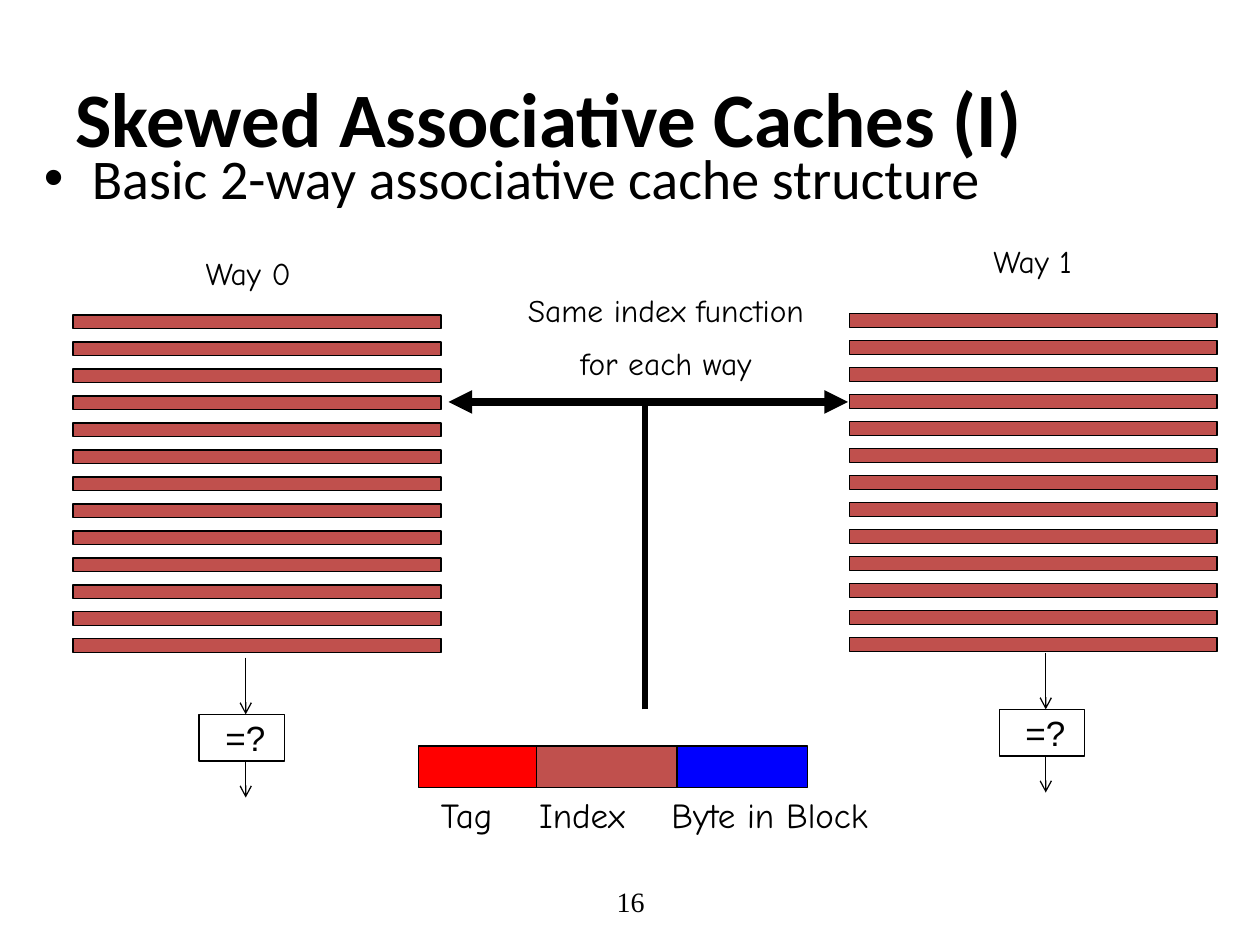
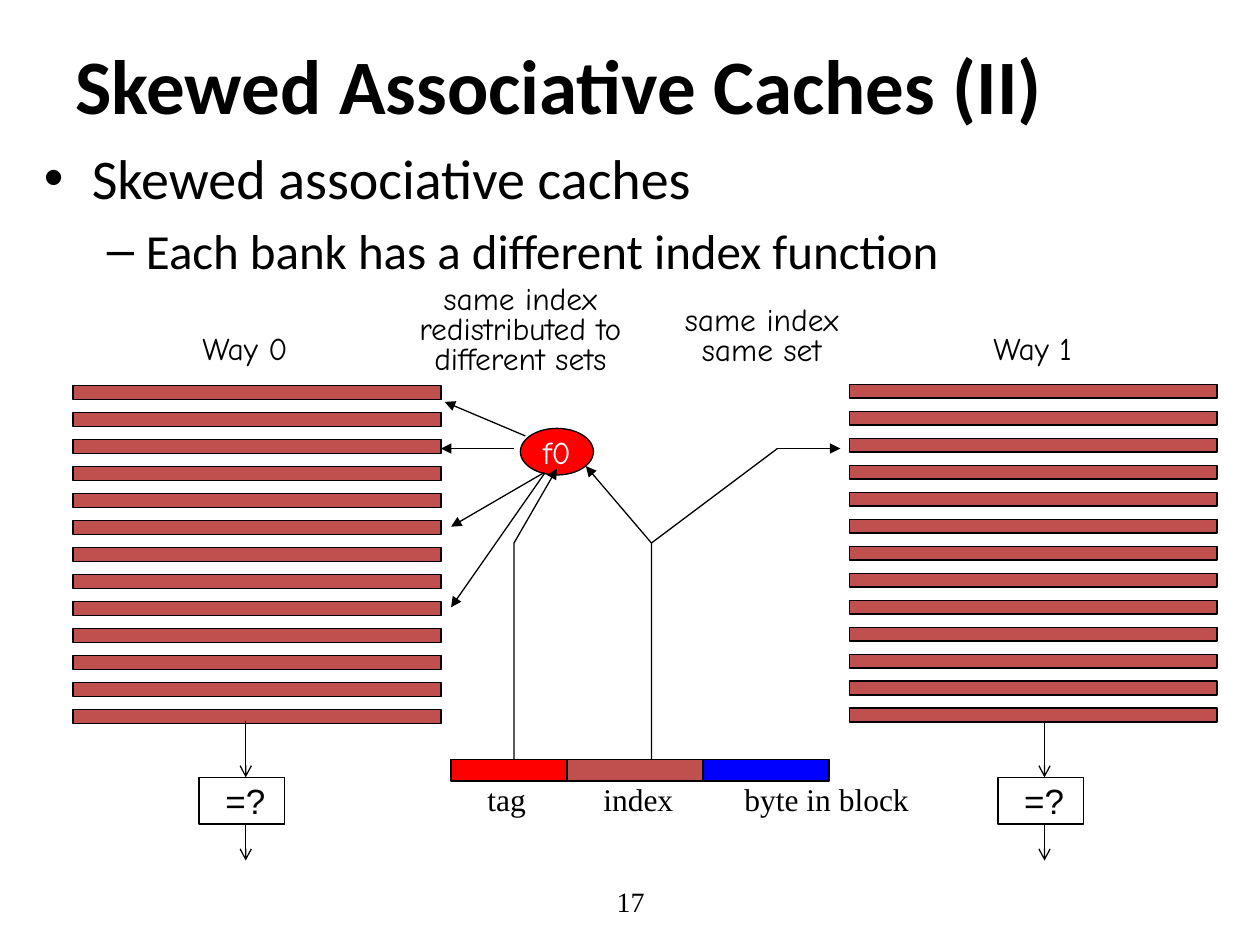
from lxml import etree
from pptx import Presentation
from pptx.dml.color import RGBColor
from pptx.enum.shapes import MSO_CONNECTOR, MSO_SHAPE
from pptx.enum.text import MSO_ANCHOR, PP_ALIGN
from pptx.oxml.ns import qn
from pptx.util import Inches, Pt

BLACK = RGBColor(0x00, 0x00, 0x00)
WHITE = RGBColor(0xFF, 0xFF, 0xFF)
TAG_RED = RGBColor(0xFF, 0x00, 0x00)
INDEX_BRICK = RGBColor(0xC0, 0x50, 0x4D)
BYTE_BLUE = RGBColor(0x00, 0x00, 0xFF)

RECTANGLE, OVAL = MSO_SHAPE.RECTANGLE, MSO_SHAPE.OVAL
STRAIGHT = MSO_CONNECTOR.STRAIGHT
LEFT, CENTER = PP_ALIGN.LEFT, PP_ALIGN.CENTER
TOP, MIDDLE = MSO_ANCHOR.TOP, MSO_ANCHOR.MIDDLE

HEADING, HAND, SERIF, SANS = "Calibri", "Comic Neue", "Times New Roman", "Arial"
THIN = 0.75
WAY_LEFTS = (0.58, 6.74)
SET_COUNT = 13
SET_PITCH = 2.57 / (SET_COUNT - 1)
BULLETS = (("•", 32, 0.38, 0.38), ("–", 28, 0.81, 0.31))


def add_run(paragraph, text, size, font, color=BLACK, bold=False):
    """Append one formatted run."""
    run = paragraph.add_run()
    run.text = text
    run.font.size = Pt(size)
    run.font.name = font
    run.font.bold = bold
    run.font.color.rgb = color


def add_text(slide, box, lines, size, font, align=LEFT, anchor=TOP, bold=False,
             wrap=True, spacing=None, gap=0):
    """Add a text box with one paragraph per line and return its frame."""
    frame = slide.shapes.add_textbox(*map(Inches, box)).text_frame
    frame.word_wrap = wrap
    frame.vertical_anchor = anchor
    for number, line in enumerate(lines):
        paragraph = frame.add_paragraph() if number else frame.paragraphs[0]
        paragraph.alignment = align
        if spacing:
            paragraph.line_spacing = spacing
        if number:
            paragraph.space_before = Pt(gap)
        add_run(paragraph, line, size, font, bold=bold)
    return frame


def add_hand_label(slide, box, lines, **options):
    """Add a centred handwritten caption."""
    add_text(slide, box, lines, 18, HAND, CENTER, wrap=False, **options)


def add_bullets(slide, lines):
    """Add the body text, each line one outline level deeper."""
    frame = add_text(slide, (0.25, 1.09, 9.42, 5.68), (), 32, HEADING)
    for level, (line, style) in enumerate(zip(lines, BULLETS)):
        mark, size, margin, hang = style
        paragraph = frame.add_paragraph() if level else frame.paragraphs[0]
        if level:
            paragraph.space_before = Pt(size * 0.2)
        add_run(paragraph, line, size, HEADING)
        properties = paragraph._p.get_or_add_pPr()
        properties.set("marL", str(Inches(margin)))
        properties.set("indent", str(-Inches(hang)))
        etree.SubElement(properties, qn("a:buFont")).set("typeface", SANS)
        etree.SubElement(properties, qn("a:buChar")).set("char", mark)


def add_outlined(shapes, kind, box, fill=None):
    """Add a thinly outlined preset shape."""
    shape = shapes.add_shape(kind, *map(Inches, box))
    shape.shadow.inherit = False
    if fill is None:
        shape.fill.background()
    else:
        shape.fill.solid()
        shape.fill.fore_color.rgb = fill
    shape.line.color.rgb = BLACK
    shape.line.width = Pt(THIN)
    return shape


def set_ends(shape, head, tail):
    """Put arrowheads on the ends of a line."""
    outline = shape.element.spPr.find(qn("a:ln"))
    for end, kind in (("a:headEnd", head), ("a:tailEnd", tail)):
        if kind:
            etree.SubElement(outline, qn(end)).set("type", kind)


def add_line(slide, start, end, width=THIN, head=None, tail=None):
    """Draw a straight black line."""
    line = slide.shapes.add_connector(STRAIGHT, *map(Inches, (*start, *end)))
    line.line.color.rgb = BLACK
    line.line.width = Pt(width)
    set_ends(line, head, tail)
    etree.SubElement(line.element.spPr, qn("a:effectLst"))


def add_bent_arrow(slide, points):
    """Draw an open path that ends in an arrowhead."""
    start, *bends = [tuple(map(Inches, point)) for point in points]
    builder = slide.shapes.build_freeform(*start)
    builder.add_line_segments(bends, close=False)
    route = builder.convert_to_shape()
    route.shadow.inherit = False
    route.fill.background()
    route.line.color.rgb = BLACK
    route.line.width = Pt(THIN)
    set_ends(route, None, "triangle")


def add_way(slide, left, top):
    """Stack the sets of one cache way."""
    way = slide.shapes.add_group_shape()
    for row in range(SET_COUNT):
        box = (left, top + row * SET_PITCH, 2.92, 0.11)
        add_outlined(way.shapes, RECTANGLE, box, INDEX_BRICK)


def add_comparator(slide, left, top):
    """Add a tag comparator with its input and output arrows."""
    add_outlined(slide.shapes, RECTANGLE, (left, top, 0.68, 0.37))
    add_text(slide, (left + 0.11, top - 0.03, 0.52, 0.44), ["=?"], 20, SANS,
             wrap=False)
    middle = left + 0.37
    for start, end in ((-0.45, 0), (0.37, 0.66)):
        add_line(slide, (middle, top + start), (middle, top + end), tail="arrow")


def add_ways(slide, tops, comparators):
    """Add both ways and their comparators."""
    for left, top, comparator in zip(WAY_LEFTS, tops, comparators):
        add_way(slide, left, top)
        add_comparator(slide, *comparator)


def add_address(slide, top, height, fields):
    """Draw the address bar from (left, width) pairs for its fields."""
    for (left, width), fill in zip(fields, (TAG_RED, INDEX_BRICK, BYTE_BLUE)):
        add_outlined(slide.shapes, RECTANGLE, (left, top, width, height), fill)


def add_field_names(slide, box, names, size, font, stops):
    """Write the field names on one line, spaced by tab stops."""
    frame = add_text(slide, box, ["\t".join(names)], size, font)
    properties = frame.paragraphs[0]._p.get_or_add_pPr()
    tabs = etree.SubElement(properties, qn("a:tabLst"))
    for stop in stops:
        tab = etree.SubElement(tabs, qn("a:tab"))
        tab.set("pos", str(Inches(stop)))
        tab.set("algn", "l")


def start_slide(deck, title, title_top, bullets, number):
    """Add a slide with its title, bullets and page number."""
    slide = deck.slides.add_slide(deck.slide_layouts[6])
    add_text(slide, (0.5, title_top, 9, 1.25), [title], 44, HEADING,
             anchor=MIDDLE, bold=True)
    add_bullets(slide, bullets)
    add_text(slide, (3.42, 6.95, 3.17, 0.4), [str(number)], 16, SERIF, CENTER, MIDDLE)
    return slide


def build_basic_cache(deck):
    """Show two ways that share one index function."""
    slide = start_slide(deck, "Skewed Associative Caches (I)", 0.3,
                        ["Basic 2-way associative cache structure"], 16)
    add_ways(slide, (2.5, 2.49), ((1.58, 5.67), (7.93, 5.63)))
    add_hand_label(slide, (1.49, 1.97, 0.96, 0.4), ["Way 0"], anchor=MIDDLE)
    add_hand_label(slide, (7.74, 1.87, 0.91, 0.4), ["Way 1"], anchor=MIDDLE)
    add_address(slide, 5.92, 0.33, ((3.32, 2.83), (4.26, 1.11), (5.38, 1.03)))
    add_field_names(slide, (3.4, 6.25, 4.01, 0.44), ("Tag", "Index", "Byte in Block"),
                    20, HAND, (0.78, 1.83))
    add_line(slide, (5.12, 5.63), (5.12, 3.17), 3)
    add_line(slide, (3.56, 3.19), (6.73, 3.19), 4.5, "triangle", "triangle")
    add_hand_label(slide, (3.98, 2.24, 2.61, 0.86),
                   ["Same index function", "for each way"], anchor=MIDDLE, gap=9)


def build_skewed_cache(deck):
    """Show a way whose index is redistributed by f0."""
    slide = start_slide(deck, "Skewed Associative Caches (II)", 0.04,
                        ["Skewed associative caches",
                         "Each bank has a different index function"], 17)
    add_hand_label(slide, (1.47, 2.56, 0.95, 0.4), ["Way 0"], anchor=MIDDLE)
    add_hand_label(slide, (7.74, 2.56, 0.91, 0.4), ["Way 1"], anchor=MIDDLE)
    add_field_names(slide, (3.77, 6.14, 3.64, 0.4), ("tag", "index", "byte in block"),
                    18, SERIF, (0.92, 2.04))

    hash_node = add_outlined(slide.shapes, OVAL, (4.13, 3.4, 0.58, 0.37), TAG_RED)
    hash_node.text_frame.word_wrap = False
    hash_node.text_frame.vertical_anchor = MIDDLE
    hash_name = hash_node.text_frame.paragraphs[0]
    hash_name.alignment = CENTER
    add_run(hash_name, "f0", 18, HAND, WHITE)

    for start, end in (((4.32, 3.75), (3.58, 4.18)),
                       ((4.17, 3.46), (3.53, 3.19)),
                       ((4.32, 3.76), (3.58, 4.82)),
                       ((4.08, 3.56), (3.5, 3.56)),
                       ((6.17, 3.56), (6.67, 3.56))):
        add_line(slide, start, end, tail="triangle")
    add_line(slide, (5.17, 4.31), (6.17, 3.56))
    add_bent_arrow(slide, ((4.08, 6.06), (4.08, 4.31), (4.42, 3.72)))
    add_bent_arrow(slide, ((5.17, 6.06), (5.17, 4.31), (4.65, 3.7)))

    add_hand_label(slide, (5.3, 2.39, 1.49, 0.58), ["same index", "same set"],
                   spacing=0.8)
    add_address(slide, 6.03, 0.17, ((3.58, 2.75), (4.5, 1.08), (5.58, 1)))
    add_hand_label(slide, (3.03, 2.22, 2.2, 0.83),
                   ["same index", "redistributed to", "different sets"], spacing=0.8)
    add_ways(slide, (3.06, 3.05), ((1.58, 6.17), (7.92, 6.17)))


def main():
    """Build and save the deck."""
    deck = Presentation()
    deck.slide_width, deck.slide_height = Inches(10), Inches(7.5)
    build_basic_cache(deck)
    build_skewed_cache(deck)
    deck.save("out.pptx")


if __name__ == "__main__":
    main()
